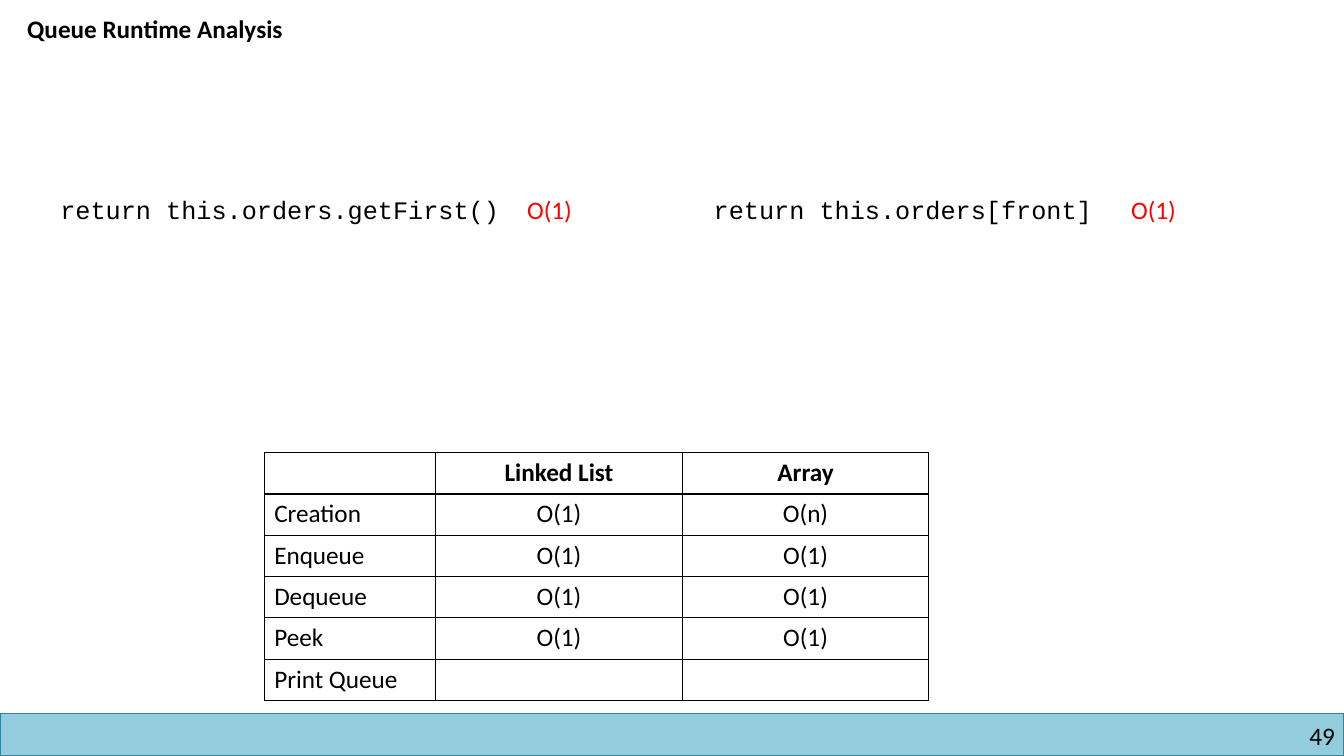
from lxml.etree import SubElement
from pptx import Presentation
from pptx.dml.color import RGBColor
from pptx.enum.shapes import MSO_SHAPE as Shape
from pptx.enum.text import MSO_ANCHOR as Anchor, MSO_AUTO_SIZE as AutoSize, PP_ALIGN as Align
from pptx.oxml.ns import qn
from pptx.util import Inches, Pt

COLORS = {"text": "000000", "cost": "FF0000", "bar": "93CDDD",
          "bar_edge": "31859C", "cell": "FFFFFF", "border": "000000"}
RUNTIMES = [("", "Linked List", "Array"),
            ("Creation", "O(1)", "O(n)"),
            ("Enqueue", "O(1)", "O(1)"),
            ("Dequeue", "O(1)", "O(1)"),
            ("Peek", "O(1)", "O(1)"),
            ("Print Queue", "", "")]


def rgb(name):
    """Look up a palette colour."""
    return RGBColor.from_string(COLORS[name])


def write(frame, text, color="text", face="Calibri", bold=False, align=Align.LEFT):
    """Fill a text frame or cell with one 18 pt paragraph."""
    frame.text = text
    paragraph = frame.paragraphs[0]
    paragraph.alignment = align
    font = paragraph.font
    font.name, font.size, font.bold = face, Pt(18), bold
    font.color.rgb = rgb(color)


def place_title(slide, left, top, width, height):
    """Put the heading into the title placeholder."""
    title = slide.shapes.title
    title.left, title.top, title.width, title.height = map(Inches, (left, top, width, height))
    frame = title.text_frame
    frame.word_wrap = False
    frame.auto_size = AutoSize.NONE
    frame.vertical_anchor = Anchor.TOP
    write(frame, "Queue Runtime Analysis", bold=True)


def add_label(slide, left, top, width, text, wrap=False, **style):
    """Add a one-line text box."""
    label = slide.shapes.add_textbox(*map(Inches, (left, top, width, 0.4)))
    label.text_frame.word_wrap = wrap
    write(label.text_frame, text, **style)
    return label


def add_peek_code(slide, left, top, width, code, cost_left):
    """Add a line of code with its cost to the right."""
    add_label(slide, left, top, width, code, face="Courier New")
    add_label(slide, left + cost_left, top, 0.79, "O(1)", wrap=True, color="cost")


def add_borders(cell):
    """Draw a 1 pt line on all four sides of a cell."""
    properties = cell._tc.get_or_add_tcPr()
    for position, side in enumerate(("a:lnL", "a:lnR", "a:lnT", "a:lnB")):
        line = SubElement(properties, qn(side), w=str(Pt(1)))
        fill = SubElement(line, qn("a:solidFill"))
        SubElement(fill, qn("a:srgbClr"), val=COLORS["border"])
        properties.insert(position, line)


def add_runtime_table(slide, left, top, column_widths, row_height):
    """Add the table that compares both queue implementations."""
    size = (sum(column_widths), row_height * len(RUNTIMES))
    table = slide.shapes.add_table(len(RUNTIMES), len(column_widths),
                                   *map(Inches, (left, top, *size))).table
    table.horz_banding = False
    for column, width in zip(table.columns, column_widths):
        column.width = Inches(width)
    for row, entries in enumerate(RUNTIMES):
        for column, entry in enumerate(entries):
            cell = table.cell(row, column)
            cell.fill.solid()
            cell.fill.fore_color.rgb = rgb("cell")
            write(cell.text_frame, entry, bold=row == 0,
                  align=Align.CENTER if column else Align.LEFT)
            add_borders(cell)


def add_footer(slide, left, top, width, height):
    """Add the bottom bar with the page number at its right end."""
    bar = slide.shapes.add_shape(Shape.RECTANGLE, *map(Inches, (left, top, width, height)))
    bar.shadow.inherit = False
    bar.fill.solid()
    bar.fill.fore_color.rgb = rgb("bar")
    bar.line.color.rgb = rgb("bar_edge")
    bar.line.width = Pt(1)
    number = add_label(slide, left + width - 3.16, top + 0.07, 3.07, "49",
                       wrap=True, align=Align.RIGHT)
    number.height = Inches(0.3)
    frame = number.text_frame
    frame.margin_left = frame.margin_right = frame.margin_top = frame.margin_bottom = 0


def main():
    """Build and save the slide."""
    deck = Presentation()
    deck.slide_width, deck.slide_height = Inches(13.33), Inches(7.5)
    slide = deck.slides.add_slide(deck.slide_layouts[5])
    add_footer(slide, 0, 7.08, 13.33, 0.42)
    place_title(slide, 0.17, 0.08, 3.18, 0.4)
    add_runtime_table(slide, 2.62, 4.49, (1.7, 2.45, 2.44), 0.41)
    add_peek_code(slide, 0.5, 1.88, 4.72, "return this.orders.getFirst()", 4.63)
    add_peek_code(slide, 6.98, 1.88, 4.12, "return this.orders[front]", 4.14)
    deck.save("out.pptx")


if __name__ == "__main__":
    main()
